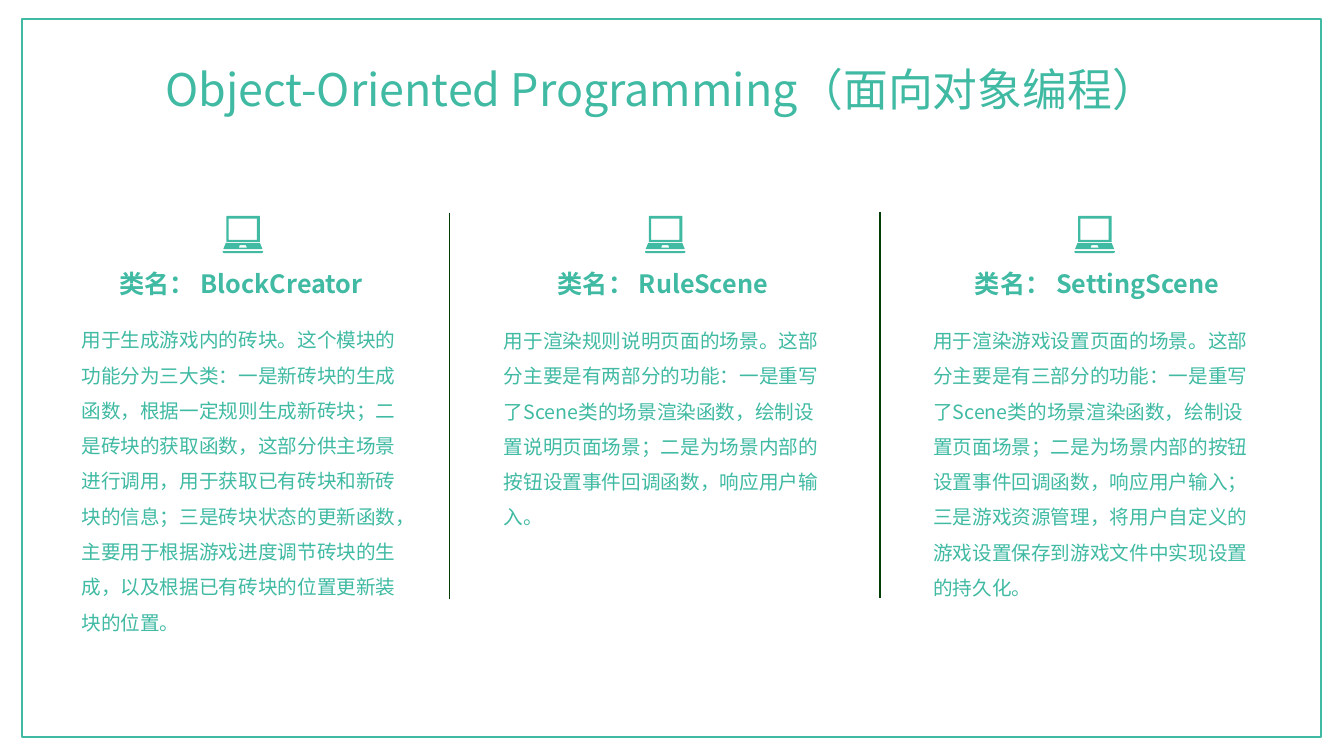
import pptx
import pptx.dml.color
import pptx.enum.shapes
import pptx.enum.text
import pptx.oxml
import pptx.oxml.ns
import pptx.util
from lxml import etree

Pt = pptx.util.Pt
FONT = "Noto Sans CJK SC"
GREEN = "40BAA3"
DARK = "023D05"

LAPTOP_OUTLINES = [
    [(266, 194), (22, 194), (4, 238), (284, 238)],
    [(115, 227), (122, 209), (166, 209), (173, 227)],
    [(27, 4), (31, 0), (262, 0), (266, 4), (266, 187), (27, 187)],
    [(43, 20), (43, 172), (245, 172), (245, 20)],
    [(0, 252), (288, 252), (288, 260), (280, 266), (8, 266), (0, 260)],
]

COLUMNS = [
    {
        "name": "BlockCreator",
        "heading": (68.4, 207.4),
        "icon_left": 159.1,
        "body": (51.1, 222.5, 233.3),
        "text": "用于生成游戏内的砖块。这个模块的功能分为三大类：一是新砖块的生成函数，"
                "根据一定规则生成新砖块；二是砖块的获取函数，这部分供主场景进行调用，"
                "用于获取已有砖块和新砖块的信息；三是砖块状态的更新函数，"
                "主要用于根据游戏进度调节砖块的生成，以及根据已有砖块的位置更新装块的位置。",
    },
    {
        "name": "RuleScene",
        "heading": (388.8, 169.2),
        "icon_left": 460.8,
        "body": (352.8, 223, 159.8),
        "text": "用于渲染规则说明页面的场景。这部分主要是有两部分的功能："
                "一是重写了Scene类的场景渲染函数，绘制设置说明页面场景；"
                "二是为场景内部的按钮设置事件回调函数，响应用户输入。",
    },
    {
        "name": "SettingScene",
        "heading": (681.1, 205.2),
        "icon_left": 767.5,
        "body": (659.5, 223, 207.4),
        "text": "用于渲染游戏设置页面的场景。这部分主要是有三部分的功能："
                "一是重写了Scene类的场景渲染函数，绘制设置页面场景；"
                "二是为场景内部的按钮设置事件回调函数，响应用户输入；"
                "三是游戏资源管理，将用户自定义的游戏设置保存到游戏文件中实现设置的持久化。",
    },
]


def color(value):
    return pptx.dml.color.RGBColor.from_string(value)


def add_frame(shapes, left, top, width, height):
    shape = shapes.add_shape(
        pptx.enum.shapes.MSO_SHAPE.RECTANGLE, Pt(left), Pt(top), Pt(width), Pt(height)
    )
    shape.shadow.inherit = False
    shape.fill.background()
    shape.line.color.rgb = color(GREEN)
    shape.line.width = Pt(1.5)


def add_divider(shapes, x, top, bottom):
    connector = shapes.add_connector(
        pptx.enum.shapes.MSO_CONNECTOR.STRAIGHT, Pt(x), Pt(top), Pt(x), Pt(bottom)
    )
    connector.line.color.rgb = color(DARK)
    connector.line.width = Pt(1)
    properties = connector._element.spPr
    etree.SubElement(properties, pptx.oxml.ns.qn("a:effectLst"))


def add_text(shapes, box, text, size, bold=False, centered=True, spacing=None):
    shape = shapes.add_textbox(*(Pt(length) for length in box))
    frame = shape.text_frame
    frame.word_wrap = True
    frame.auto_size = pptx.enum.text.MSO_AUTO_SIZE.SHAPE_TO_FIT_TEXT
    paragraph = frame.paragraphs[0]
    if centered:
        paragraph.alignment = pptx.enum.text.PP_ALIGN.CENTER
    if spacing:
        paragraph.line_spacing = spacing
    run = paragraph.add_run()
    run.text = text
    run.font.size = Pt(size)
    run.font.bold = bold
    run.font.name = FONT
    run.font.color.rgb = color(GREEN)
    east_asian = etree.SubElement(run.font._element, pptx.oxml.ns.qn("a:ea"))
    east_asian.set("typeface", FONT)


def add_laptop(shapes, left, top):
    builder = shapes.build_freeform(*LAPTOP_OUTLINES[0][0], scale=Pt(0.1))
    for outline in LAPTOP_OUTLINES:
        if outline is not LAPTOP_OUTLINES[0]:
            builder.move_to(*outline[0])
        builder.add_line_segments(outline[1:], close=True)
    shape = builder.convert_to_shape(Pt(left), Pt(top))
    shape.shadow.inherit = False
    shape.fill.solid()
    shape.fill.fore_color.rgb = color(GREEN)
    shape.line.fill.background()


def add_column(slide, column):
    shapes = slide.shapes.add_group_shape().shapes
    add_laptop(shapes, column["icon_left"], 154.2)
    left, width = column["heading"]
    add_text(shapes, (left, 188.2, width, 29), "类名： " + column["name"], 18, bold=True)
    left, top, height = column["body"]
    add_text(shapes, (left, top, 249.8, height), column["text"], 14,
             centered=False, spacing=1.5)


def main():
    presentation = pptx.Presentation()
    presentation.slide_width = Pt(960)
    presentation.slide_height = Pt(540)
    slide = presentation.slides.add_slide(presentation.slide_layouts[6])
    add_divider(slide.shapes, 628.6, 151.2, 427)
    add_divider(slide.shapes, 321.1, 151.9, 427.7)
    add_frame(slide.shapes, 15.8, 13.7, 928.1, 512.6)
    add_text(slide.shapes, (68.4, 40.3, 807.8, 46),
             "Object-Oriented Programming（面向对象编程）", 32)
    for column in COLUMNS:
        add_column(slide, column)
    presentation.save("out.pptx")


if __name__ == "__main__":
    main()
